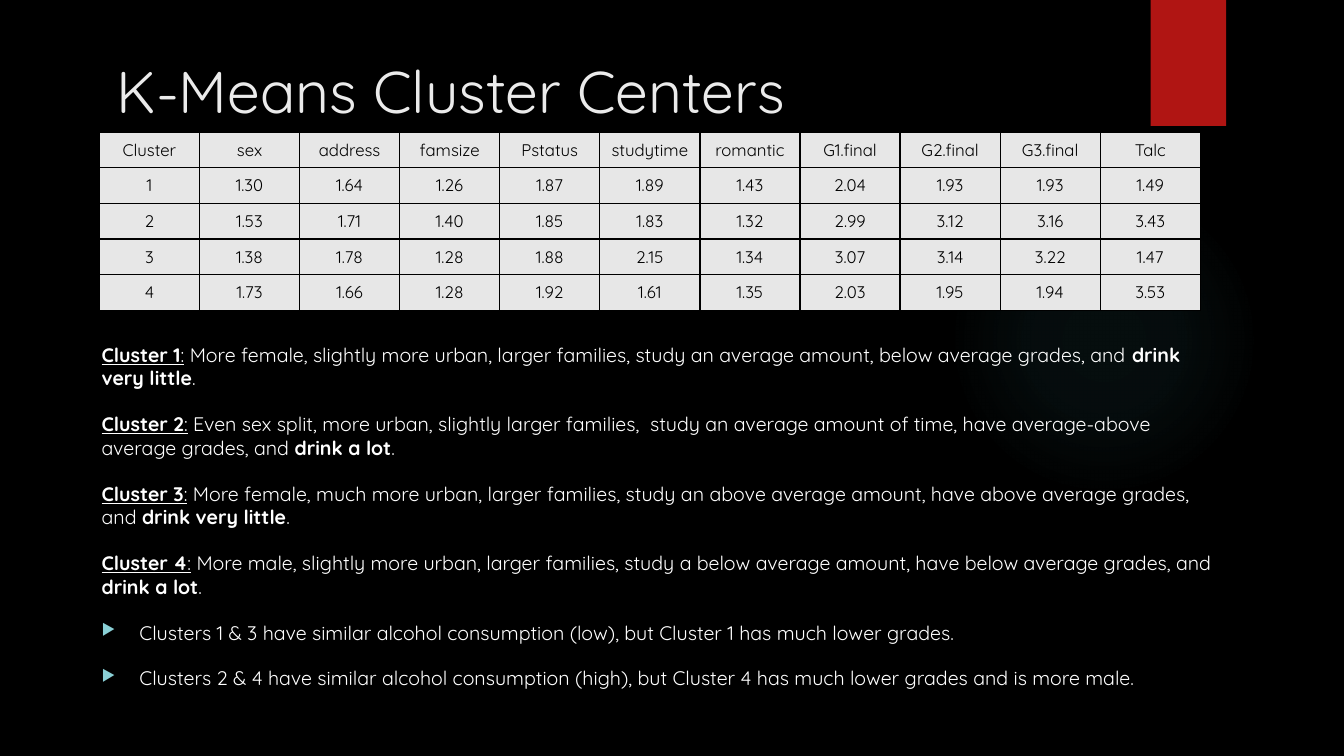
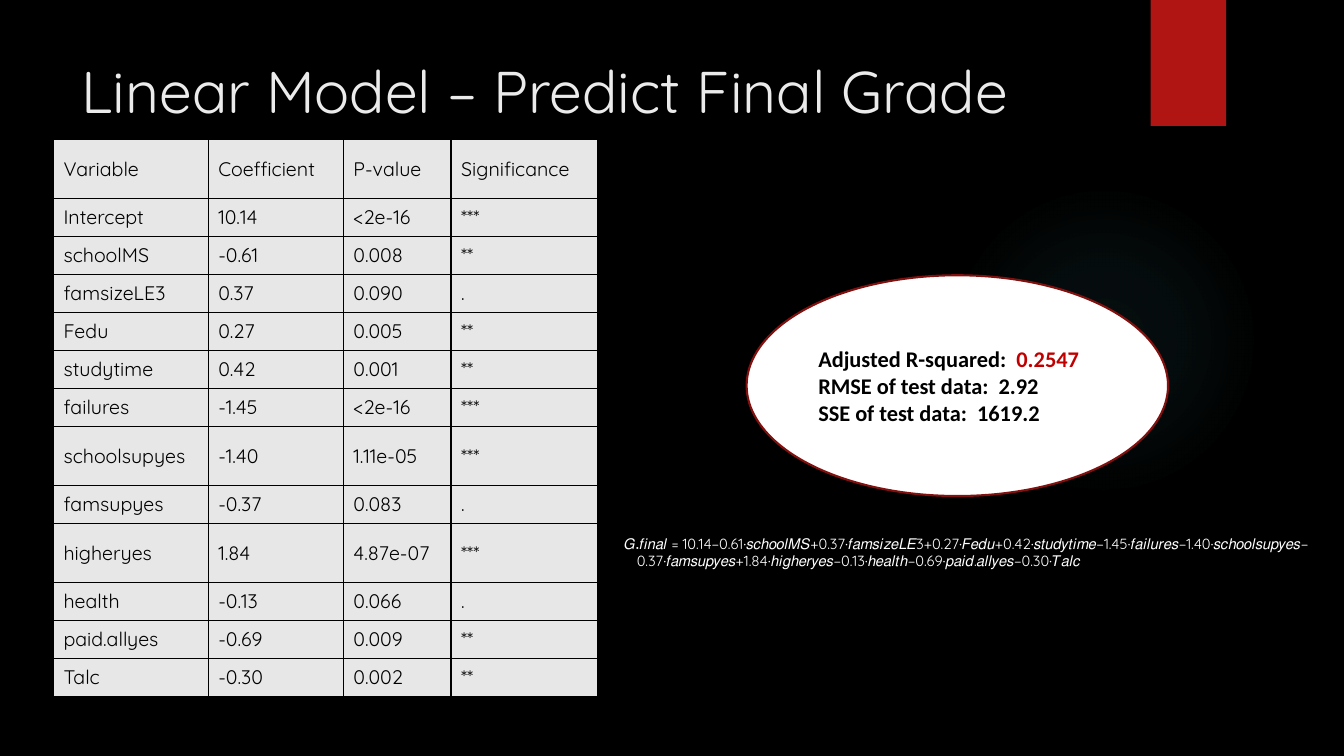
from pptx import Presentation
from pptx.dml.color import RGBColor
from pptx.enum.shapes import MSO_SHAPE
from pptx.enum.text import MSO_ANCHOR, PP_ALIGN
from pptx.oxml import parse_xml
from pptx.oxml.ns import nsdecls
from pptx.util import Pt

OVAL, RECT = MSO_SHAPE.OVAL, MSO_SHAPE.RECTANGLE
MIDDLE = MSO_ANCHOR.MIDDLE
LEFT, CENTER = PP_ALIGN.LEFT, PP_ALIGN.CENTER

BLACK = RGBColor(0x00, 0x00, 0x00)
WHITE = RGBColor(0xFF, 0xFF, 0xFF)
TITLE = RGBColor(0xEB, 0xEB, 0xEB)
RED = RGBColor(0xB0, 0x15, 0x13)
DARK_RED = RGBColor(0x82, 0x10, 0x0E)
ACCENT_RED = RGBColor(0xC0, 0x00, 0x00)
CELL = RGBColor(0xE7, 0xE7, 0xE7)
TEAL = RGBColor(0x8A, 0xD0, 0xD6)
GLOW = RGBColor(0x50, 0xB9, 0xC1)
FONT = "Quicksand"

CENTERS = [
    "Cluster sex address famsize Pstatus studytime romantic G1.final G2.final G3.final Talc".split(),
    "1 1.30 1.64 1.26 1.87 1.89 1.43 2.04 1.93 1.93 1.49".split(),
    "2 1.53 1.71 1.40 1.85 1.83 1.32 2.99 3.12 3.16 3.43".split(),
    "3 1.38 1.78 1.28 1.88 2.15 1.34 3.07 3.14 3.22 1.47".split(),
    "4 1.73 1.66 1.28 1.92 1.61 1.35 2.03 1.95 1.94 3.53".split(),
]
PROFILES = [
    ("Cluster 1", " More female, slightly more urban, larger families, study an average amount, "
     "below average grades, and ", "drink very little"),
    ("Cluster 2", " Even sex split, more urban, slightly larger families,  study an average amount of time, "
     "have average-above average grades, and ", "drink a lot"),
    ("Cluster 3", " More female, much more urban, larger families, study an above average amount, "
     "have above average grades, and ", "drink very little"),
    ("Cluster 4", " More male, slightly more urban, larger families, study a below average amount, "
     "have below average grades, and ", "drink a lot"),
]
FINDINGS = [
    "Clusters 1 & 3 have similar alcohol consumption (low), but Cluster 1 has much lower grades.",
    "Clusters 2 & 4 have similar alcohol consumption (high), but Cluster 4 has much lower grades "
    "and is more male.",
]
COEFFICIENTS = [
    ("Variable", "Coefficient", "P-value", "Significance"),
    ("Intercept", "10.14", "<2e-16", "***"),
    ("schoolMS", "-0.61", "0.008", "**"),
    ("famsizeLE3", "0.37", "0.090", "."),
    ("Fedu", "0.27", "0.005", "**"),
    ("studytime", "0.42", "0.001", "**"),
    ("failures", "-1.45", "<2e-16", "***"),
    ("schoolsupyes", "-1.40", "1.11e-05", "***"),
    ("famsupyes", "-0.37", "0.083", "."),
    ("higheryes", "1.84", "4.87e-07", "***"),
    ("health", "-0.13", "0.066", "."),
    ("paid.allyes", "-0.69", "0.009", "**"),
    ("Talc", "-0.30", "0.002", "**"),
]
TALL_ROWS = ("Variable", "schoolsupyes", "higheryes")
FORMULA_START = "𝐺.𝑓𝑖𝑛𝑎𝑙 "
FORMULA_TOP = ("= 10.14−0.61∙𝑠𝑐ℎ𝑜𝑜𝑙𝑀𝑆+0.37∙𝑓𝑎𝑚𝑠𝑖𝑧𝑒𝐿𝐸3+0.27∙𝐹𝑒𝑑𝑢+0.42∙𝑠𝑡𝑢𝑑𝑦𝑡𝑖𝑚𝑒"
               "−1.45∙𝑓𝑎𝑖𝑙𝑢𝑟𝑒𝑠−1.40∙𝑠𝑐ℎ𝑜𝑜𝑙𝑠𝑢𝑝𝑦𝑒𝑠−")
FORMULA_END = "0.37∙𝑓𝑎𝑚𝑠𝑢𝑝𝑦𝑒𝑠+1.84∙ℎ𝑖𝑔ℎ𝑒𝑟𝑦𝑒𝑠−0.13∙ℎ𝑒𝑎𝑙𝑡ℎ−0.69∙𝑝𝑎𝑖𝑑.𝑎𝑙𝑙𝑦𝑒𝑠−0.30∙𝑇𝑎𝑙𝑐"


def add_text(p, text, size=14, color=WHITE, font=FONT, bold=False, underline=False):
    """Append a formatted run to a paragraph."""
    r = p.add_run()
    r.text = text
    r.font.size, r.font.name = Pt(size), font
    r.font.bold, r.font.underline = bold, underline
    r.font.color.rgb = color


def next_paragraph(tf, first):
    """Return the first paragraph of a frame or a new one."""
    return tf.paragraphs[0] if first else tf.add_paragraph()


def hang(p, indent):
    """Give a paragraph a hanging indent."""
    pPr = p._p.get_or_add_pPr()
    pPr.set("marL", str(Pt(indent)))
    pPr.set("indent", str(-Pt(indent)))
    return pPr


def add_bullet(p):
    """Give a paragraph a teal triangle bullet."""
    pPr = hang(p, 27)
    for xml in (f'<a:buClr {nsdecls("a")}><a:srgbClr val="{TEAL}"/></a:buClr>',
                f'<a:buSzPct {nsdecls("a")} val="80000"/>',
                f'<a:buChar {nsdecls("a")} char="▶"/>'):
        pPr.append(parse_xml(xml))


def add_textbox(s, x, y, w, h):
    """Add a wrapping text box and return its frame."""
    tf = s.shapes.add_textbox(Pt(x), Pt(y), Pt(w), Pt(h)).text_frame
    tf.word_wrap = True
    return tf


def add_shape(s, kind, x, y, w, h, fill=None, line=None):
    """Add a flat preset shape."""
    sp = s.shapes.add_shape(kind, Pt(x), Pt(y), Pt(w), Pt(h))
    sp.shadow.inherit = False
    if fill is not None:
        sp.fill.solid()
        sp.fill.fore_color.rgb = fill
    if line is None:
        sp.line.fill.background()
    else:
        sp.line.color.rgb = line
        sp.line.width = Pt(1.5)
    return sp


def add_glow(s):
    """Add the faint radial glow."""
    sp = add_shape(s, OVAL, 677.5, 131.8, 221.8, 221.8)
    stops = "".join(
        f'<a:gs pos="{pos}000"><a:srgbClr val="{GLOW}"><a:alpha val="{alpha}000"/></a:srgbClr></a:gs>'
        for pos, alpha in ((0, 7), (36, 6), (69, 0), (100, 0)))
    sp._element.spPr.insert(2, parse_xml(
        f'<a:gradFill {nsdecls("a")}><a:gsLst>{stops}</a:gsLst><a:path path="circle">'
        '<a:fillToRect l="50000" t="50000" r="50000" b="50000"/></a:path></a:gradFill>'))


def add_slide(prs, title, title_x):
    """Add a black slide with glow, red tab and title."""
    s = prs.slides.add_slide(prs.slide_layouts[6])
    s.background.fill.solid()
    s.background.fill.fore_color.rgb = BLACK
    add_glow(s)
    add_shape(s, RECT, 822, 0, 53.8, 90, fill=RED)
    tf = add_textbox(s, title_x, 35.6, 741, 84)
    add_text(tf.paragraphs[0], title, size=42, color=TITLE)
    return s


def set_borders(cell):
    """Draw thin black borders round a cell."""
    tcPr = cell._tc.get_or_add_tcPr()
    for i, side in enumerate(("lnL", "lnR", "lnT", "lnB")):
        tcPr.insert(i, parse_xml(
            f'<a:{side} {nsdecls("a")} w="{Pt(1)}"><a:solidFill><a:srgbClr val="{BLACK}"/>'
            f'</a:solidFill></a:{side}>'))


def add_table(s, x, y, rows, widths, heights, size=14, align=LEFT, pad_x=7.2, pad_y=3.6):
    """Add a grey table with black rules."""
    tbl = s.shapes.add_table(len(rows), len(widths), Pt(x), Pt(y),
                             Pt(sum(widths)), Pt(sum(heights))).table
    tbl.first_row = tbl.horz_banding = False
    for col, width in zip(tbl.columns, widths):
        col.width = Pt(width)
    for row, height, texts in zip(tbl.rows, heights, rows):
        row.height = Pt(height)
        for cell, text in zip(row.cells, texts):
            cell.fill.solid()
            cell.fill.fore_color.rgb = CELL
            cell.vertical_anchor = MIDDLE
            cell.margin_left = cell.margin_right = Pt(pad_x)
            cell.margin_top = cell.margin_bottom = Pt(pad_y)
            p = cell.text_frame.paragraphs[0]
            p.alignment = align
            add_text(p, text, size=size, color=BLACK)
            set_borders(cell)


def add_cluster_notes(s):
    """Add the cluster profiles and the findings below them."""
    tf = add_textbox(s, 65.5, 241.2, 810, 249)
    for i, (name, profile, drinking) in enumerate(PROFILES):
        p = next_paragraph(tf, i == 0)
        add_text(p, name, bold=True, underline=True)
        add_text(p, ":", underline=True)
        add_text(p, profile)
        add_text(p, drinking, bold=True)
        add_text(p, ".")
    for finding in FINDINGS:
        p = tf.add_paragraph()
        add_bullet(p)
        add_text(p, finding)
    for p in tf.paragraphs:
        p.space_after = Pt(16)


def add_fit_oval(s):
    """Add the oval with the fit statistics."""
    sp = add_shape(s, OVAL, 533.3, 196.6, 301, 157.7, fill=WHITE, line=DARK_RED)
    tf = sp.text_frame
    tf.vertical_anchor = MIDDLE
    lines = [
        [("Adjusted R-squared:  ", BLACK), ("0.2547", ACCENT_RED)],
        [("RMSE of test data:  2.92", BLACK)],
        [("SSE of test data:  1619.2", BLACK)],
    ]
    for i, line in enumerate(lines):
        p = next_paragraph(tf, i == 0)
        p.alignment = LEFT
        for text, color in line:
            add_text(p, text, size=16, color=color, font="Calibri", bold=True)


def add_formula(s):
    """Add the fitted equation."""
    p = add_textbox(s, 439, 378.4, 521, 45).paragraphs[0]
    hang(p, 8.8)
    add_text(p, FORMULA_START, size=10.5, bold=True)
    add_text(p, FORMULA_TOP, size=10.5)
    p.add_line_break()
    add_text(p, FORMULA_END, size=10.5)


def main():
    """Build and save the deck."""
    prs = Presentation()
    prs.slide_width, prs.slide_height = Pt(960), Pt(540)

    s = add_slide(prs, "K-Means Cluster Centers", 76)
    add_cluster_notes(s)
    add_table(s, 71, 94.5, CENTERS, [71.5] * 11, [25.4] * 5,
              size=12, align=CENTER, pad_x=5, pad_y=0)

    s = add_slide(prs, "Linear Model – Predict Final Grade", 51)
    add_fit_oval(s)
    add_formula(s)
    heights = [42.2 if row[0] in TALL_ROWS else 27.1 for row in COEFFICIENTS]
    add_table(s, 38.2, 99.7, COEFFICIENTS, [110.5, 96.5, 77, 104.5], heights)

    prs.save("out.pptx")


if __name__ == "__main__":
    main()
